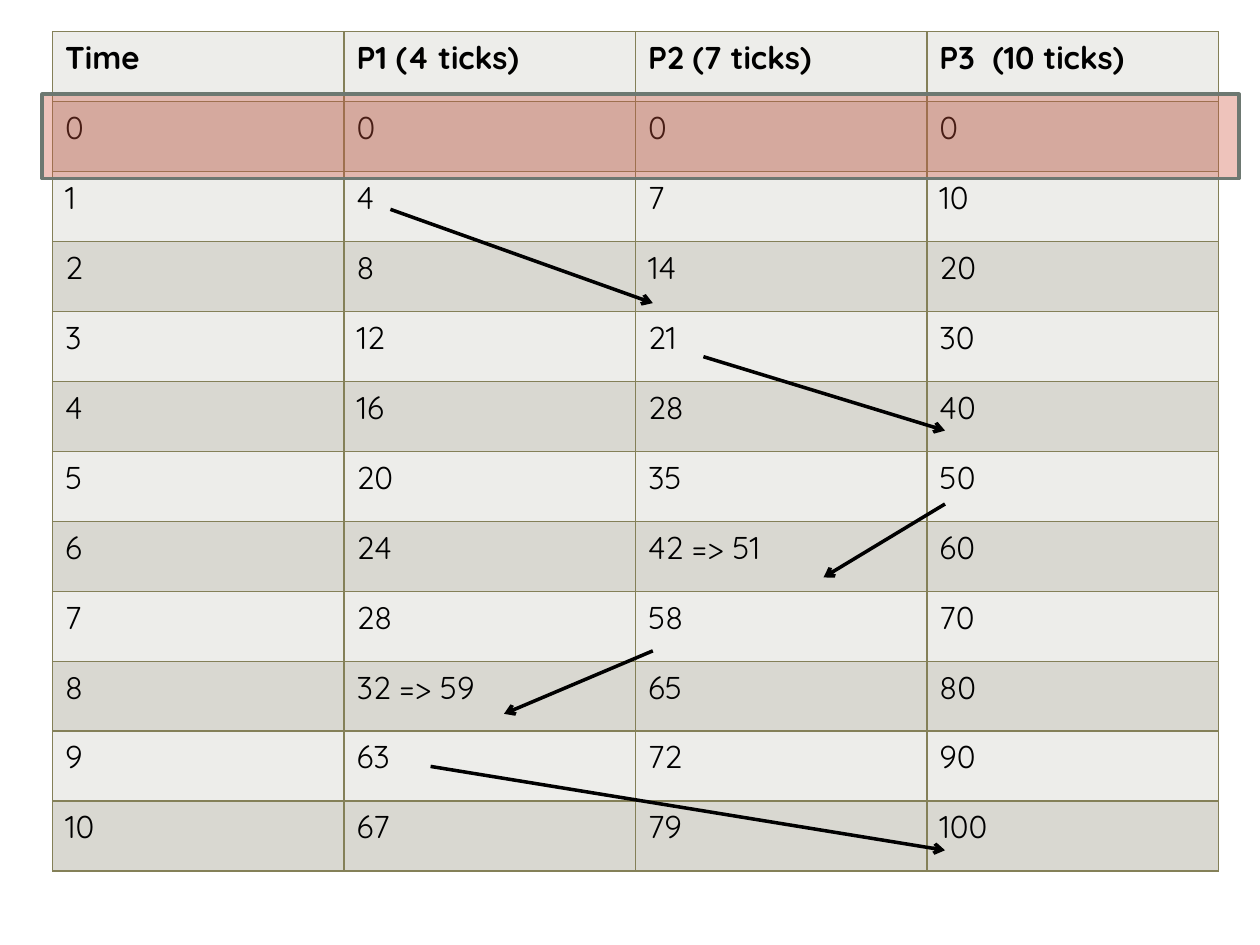
from typing import NamedTuple

from lxml import etree
from pptx import Presentation
from pptx import util as u
from pptx.dml.color import RGBColor
from pptx.enum import shapes
from pptx.oxml import parse_xml
from pptx.oxml.ns import nsdecls, qn

COLORS = {
    "text": "000000",
    "light_row": "EDEDEA",
    "dark_row": "D9D8D1",
    "border": "848058",
    "highlight": "CF543F",
    "highlight_line": "6D7871",
}
FONT = "Quicksand"


class Arrow(NamedTuple):
    """A message between processes, in centimetres."""
    x1: float
    y1: float
    x2: float
    y2: float


HEADERS = ("Time", "P1 (4 ticks)", "P2 (7 ticks)", "P3  (10 ticks)")
P1 = (0, 4, 8, 12, 16, 20, 24, 28, "32 => 59", 63, 67)
P2 = (0, 7, 14, 21, 28, 35, "42 => 51", 58, 65, 72, 79)
P3 = range(0, 101, 10)
ROWS = [HEADERS, *zip(range(11), P1, P2, P3)]

MESSAGES = (
    Arrow(7.87, 4.22, 13.16, 6.11),
    Arrow(14.18, 7.19, 19.05, 8.68),
    Arrow(19.05, 10.16, 16.6, 11.64),
    Arrow(13.16, 13.12, 10.16, 14.39),
    Arrow(8.68, 15.45, 19.05, 17.14),
)


def color(name: str) -> RGBColor:
    return RGBColor.from_string(COLORS[name])


def add_borders(cell) -> None:
    properties = cell._tc.get_or_add_tcPr()
    for side in ("lnL", "lnR", "lnT", "lnB"):
        properties.append(parse_xml(
            f'<a:{side} {nsdecls("a")} w="{u.Pt(1)}"><a:solidFill>'
            f'<a:srgbClr val="{COLORS["border"]}"/></a:solidFill></a:{side}>'))


def add_clock_table(slide) -> None:
    width, height = u.Cm(23.5), u.Cm(16.93)
    table = slide.shapes.add_table(
        len(ROWS), len(HEADERS), u.Cm(1.06), u.Cm(0.64), width, height).table
    for column in table.columns:
        column.width = width // len(HEADERS)
    for row in table.rows:
        row.height = height // len(ROWS)

    for row_index, values in enumerate(ROWS):
        for column_index, value in enumerate(values):
            cell = table.cell(row_index, column_index)
            add_borders(cell)
            cell.fill.solid()
            cell.fill.fore_color.rgb = color("dark_row" if row_index % 2 else "light_row")
            cell.text = str(value)
            font = cell.text_frame.paragraphs[0].font
            font.name, font.size = FONT, u.Pt(18)
            font.bold = row_index == 0
            font.color.rgb = color("text")


def add_highlight(slide) -> None:
    shape = slide.shapes.add_shape(
        shapes.MSO_SHAPE.RECTANGLE, u.Cm(0.85), u.Cm(1.9), u.Cm(24.13), u.Cm(1.7))
    shape.shadow.inherit = False
    shape.fill.solid()
    shape.fill.fore_color.rgb = color("highlight")
    fill_color = shape.fill._xPr.find(qn("a:solidFill"))[0]
    etree.SubElement(fill_color, qn("a:alpha"), val="35000")
    shape.line.color.rgb = color("highlight_line")
    shape.line.width = u.Pt(2)


def add_arrow(slide, arrow: Arrow) -> None:
    connector = slide.shapes.add_connector(
        shapes.MSO_CONNECTOR.STRAIGHT, *(u.Cm(length) for length in arrow))
    connector.line.color.rgb = color("text")
    connector.line.width = u.Pt(2)
    etree.SubElement(connector.line._get_or_add_ln(), qn("a:tailEnd"), type="arrow")
    etree.SubElement(connector._element.spPr, qn("a:effectLst"))


def main() -> None:
    presentation = Presentation()
    presentation.slide_width = u.Cm(25.4)
    presentation.slide_height = u.Cm(19.05)
    # The slide has no title, so it uses the blank layout
    slide = presentation.slides.add_slide(presentation.slide_layouts[6])

    # Clock values of the three processes
    add_clock_table(slide)
    # Starting row
    add_highlight(slide)
    # Messages between processes
    for message in MESSAGES:
        add_arrow(slide, message)

    presentation.save("out.pptx")


if __name__ == "__main__":
    main()
